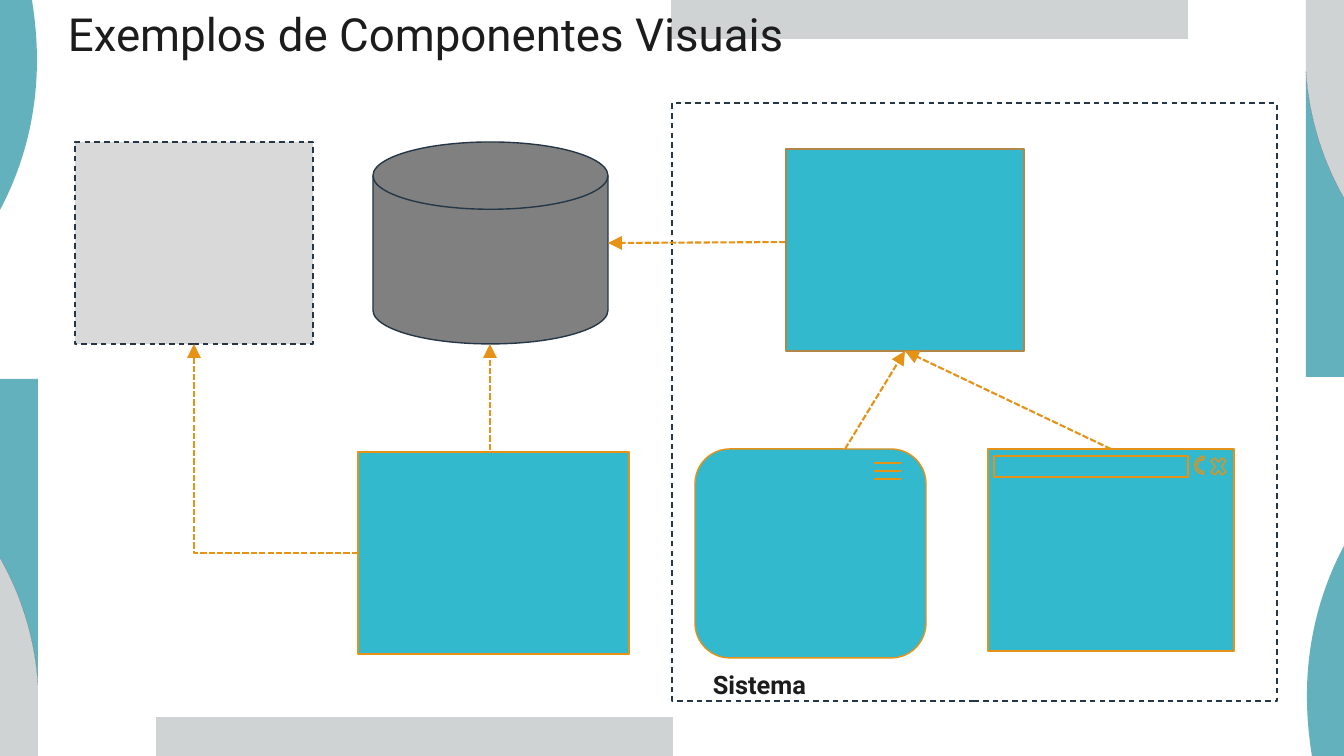
from lxml.etree import SubElement
from pptx import Presentation
from pptx.dml.color import RGBColor
from pptx.enum.dml import MSO_LINE_DASH_STYLE as Dash
from pptx.enum.shapes import MSO_CONNECTOR as Link, MSO_SHAPE as Shape
from pptx.enum.text import PP_ALIGN as Align
from pptx.oxml.ns import qn
from pptx.util import Pt

WIDTH, HEIGHT = 1344, 756
EMU_PER_PX = 12192000 / WIDTH
COLORS = {
    "teal": "63B1BC", "silver": "D0D3D4", "navy": "1F2A44",
    "cyan": "32B9CD", "orange": "E59217", "bronze": "B18748",
    "slate": "253746", "gray": "808080", "light": "D9D9D9", "ink": "1C1C1C",
}


def px(value):
    return round(value * EMU_PER_PX)


def color(name):
    return RGBColor.from_string(COLORS[name])


class Diagram:
    font = "Roboto"

    def __init__(self, slide):
        self.shapes = slide.shapes

    def paint(self, shape, fill, line=None, dash=None):
        shape.shadow.inherit = False
        if fill:
            shape.fill.solid()
            shape.fill.fore_color.rgb = color(fill)
        else:
            shape.fill.background()
        if line:
            self.stroke(shape.line, line, 1, dash)
        else:
            shape.line.fill.background()

    def stroke(self, line, name, width, dash=None):
        line.color.rgb = color(name)
        line.width = Pt(width)
        if dash:
            line.dash_style = dash

    def outline(self, points, fill, curve_starts=()):
        corners = [(px(x), px(y)) for x, y in points]
        builder = self.shapes.build_freeform(*corners[0], scale=1.0)
        builder.add_line_segments(corners[1:], close=True)
        shape = builder.convert_to_shape()
        self.paint(shape, fill)
        steps = list(next(shape._element.iter(qn("a:moveTo"))).getparent())
        for start in curve_starts:
            bezier, *rest = steps[start:start + 3]
            bend = SubElement(bezier.getparent(), qn("a:cubicBezTo"))
            bezier.addprevious(bend)
            for step in (bezier, *rest):
                bend.append(step[0])
                step.getparent().remove(step)

    def box(self, left, top, width, height, fill=None, line="orange",
            dash=None, kind=Shape.RECTANGLE, turn=0):
        shape = self.shapes.add_shape(kind, px(left), px(top), px(width), px(height))
        self.paint(shape, fill, line, dash)
        shape.rotation = turn
        return shape

    def line(self, start, end, kind=Link.STRAIGHT, width=1, dash=None):
        link = self.shapes.add_connector(kind, *map(px, start + end))
        self.stroke(link.line, "orange", width, dash)
        SubElement(link._element.spPr, qn("a:effectLst"))
        return link

    def arrow(self, start, end, kind=Link.STRAIGHT):
        link = self.line(start, end, kind, 1.5, Dash.SQUARE_DOT)
        SubElement(link.line._get_or_add_ln(), qn("a:tailEnd"),
                   type="triangle", w="lg", len="lg")
        return link

    def text(self, left, top, width, height, words, size,
             bold=False, align=Align.LEFT, spacing=1.0):
        frame = self.shapes.add_textbox(px(left), px(top), px(width), px(height)).text_frame
        frame.word_wrap = True
        frame.text = words
        paragraph = frame.paragraphs[0]
        paragraph.alignment = align
        paragraph.line_spacing = spacing
        font = paragraph.runs[0].font
        font.name, font.size, font.bold = self.font, Pt(size), bold
        font.color.rgb = color("ink")


def draw_frame(diagram):
    arc = [(1344, 198), (1323, 161), (1309, 118), (1306, 72)]
    inner_arc = arc[:3] + [(1306, 71)]
    lens = [(32, 0), (0, 0), (0, 210), (24, 165), (37, 114), (37, 60),
            (37, 39), (35, 19), (32, 0)]
    ornaments = [
        (lens, "teal", (3, 6)),
        ([(671, 0), (1188, 0), (1188, 39), (671, 39)], "silver", ()),
        ([(1306, 377), (1344, 377)] + arc, "teal", (3,)),
        ([(1306, 0), (1344, 0)] + arc, "silver", (3,)),
        (inner_arc + arc[::-1], "navy", (1, 5)),
    ]
    for points, fill, curve_starts in ornaments:
        diagram.outline(points, fill, curve_starts)
    for points, fill, curve_starts in ornaments:
        turned = [(WIDTH - x, HEIGHT - y) for x, y in points]
        diagram.outline(turned, fill, curve_starts)


def draw_components(diagram):
    diagram.box(672, 103, 605, 598, line="slate", dash=Dash.DASH)
    diagram.box(373, 142, 235, 202, "gray", "slate", kind=Shape.FLOWCHART_MAGNETIC_DISK)
    diagram.arrow((794, 242), (608, 243))
    service = diagram.box(786, 149, 238, 202, "cyan", "bronze")

    window = diagram.box(988, 449, 246, 202, "cyan")
    diagram.box(994, 456, 194, 21)
    diagram.box(1208, 453, 21, 27, kind=Shape.MATH_MULTIPLY)
    diagram.box(1194, 455, 20, 21, kind=Shape.CIRCULAR_ARROW, turn=275)

    process = diagram.box(358, 452, 271, 202, "cyan")
    diagram.arrow((490, 450), (490, 344))

    diagram.box(695, 449, 231, 209, "cyan", kind=Shape.ROUNDED_RECTANGLE)
    for menu_y in range(463, 480, 8):
        diagram.line((874, menu_y), (901, menu_y))
    to_service = diagram.arrow((845, 449), (905, 351))
    to_service.end_connect(service, 2)

    external = diagram.box(75, 142, 238, 202, "light", "slate", Dash.DASH)
    to_external = diagram.arrow((358, 553), (194, 344), Link.ELBOW)
    to_external.begin_connect(process, 1)
    to_external.end_connect(external, 2)
    to_external._element.spPr.find(qn("a:prstGeom")).set("prst", "bentConnector2")

    diagram.text(631, 664, 257, 41, "Sistema", 18.1, bold=True, align=Align.CENTER)
    window_to_service = diagram.arrow((1111, 449), (905, 351))
    window_to_service.begin_connect(window, 0)
    window_to_service.end_connect(service, 2)


def main():
    deck = Presentation()
    deck.slide_width, deck.slide_height = px(WIDTH), px(HEIGHT)
    diagram = Diagram(deck.slides.add_slide(deck.slide_layouts[6]))
    draw_frame(diagram)
    diagram.text(58, 7, 1198, 77, "Exemplos de Componentes Visuais", 32.6, spacing=0.9)
    draw_components(diagram)
    deck.save("out.pptx")


if __name__ == "__main__":
    main()
